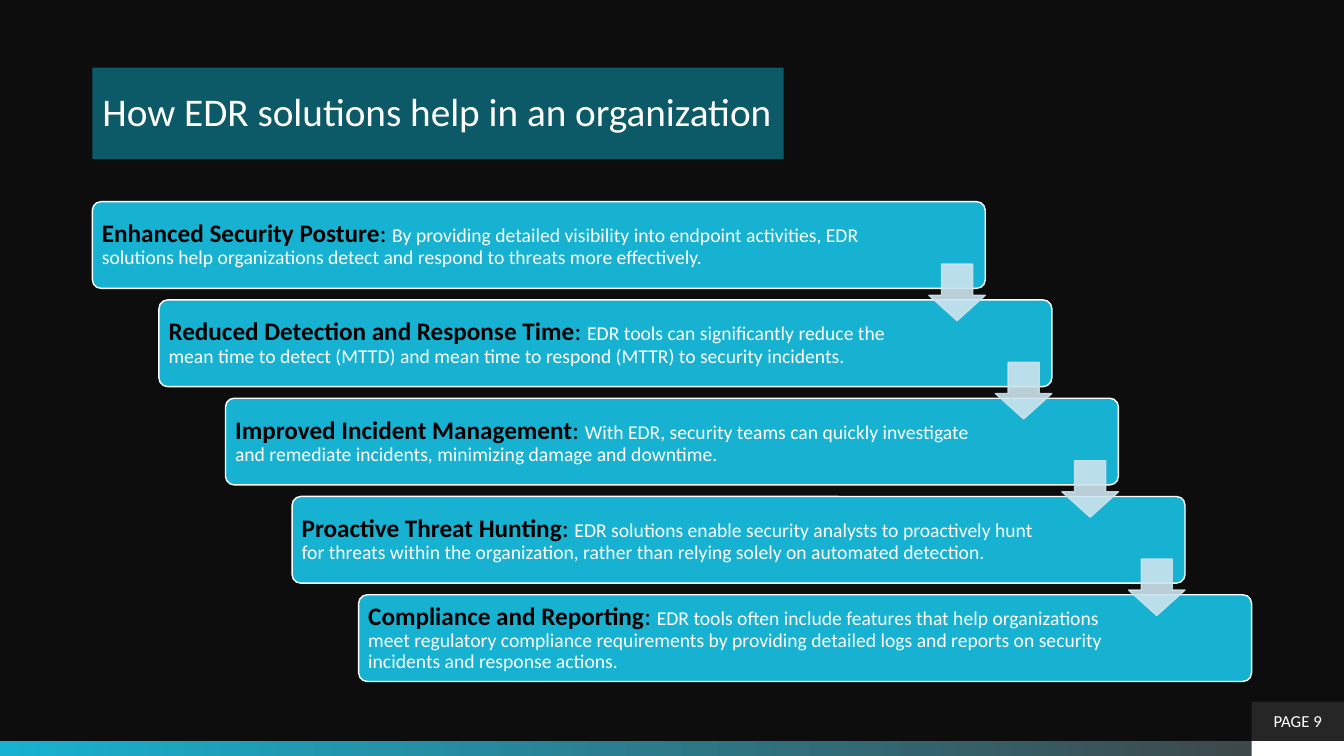
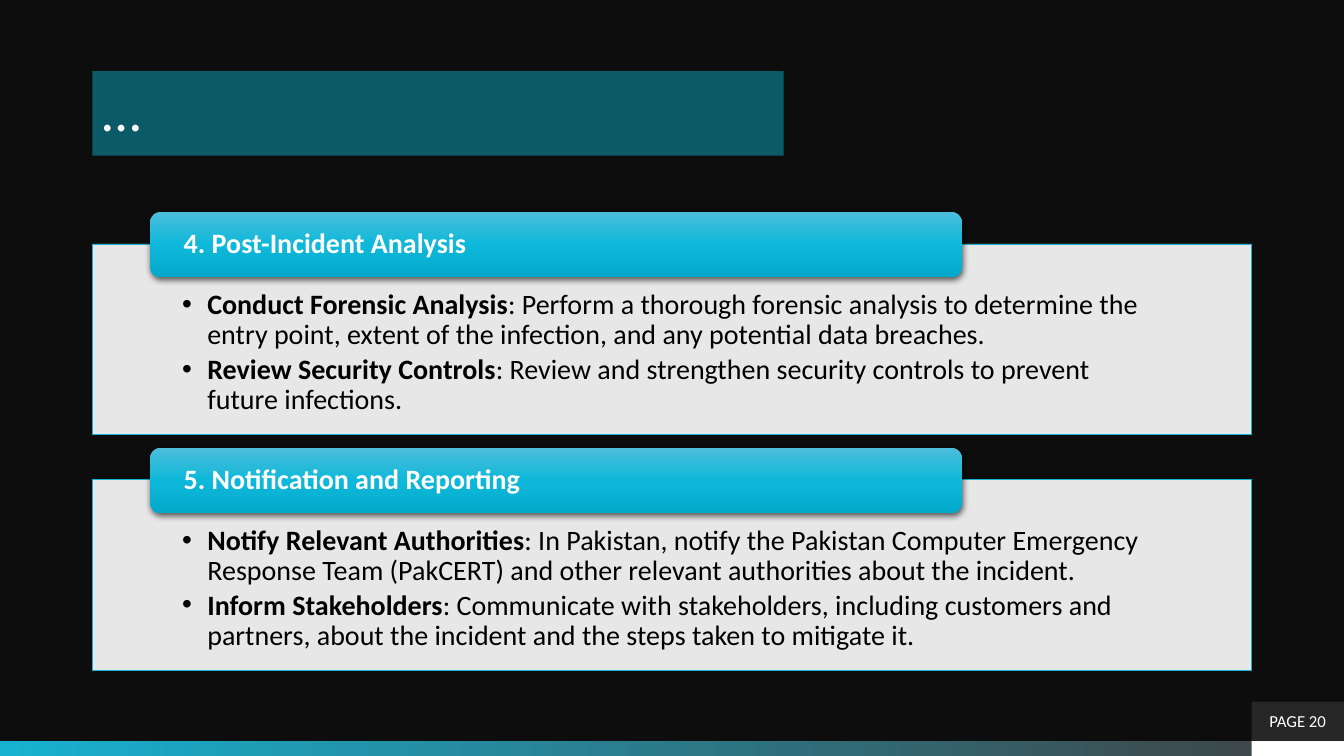
from lxml import etree
from pptx import Presentation
from pptx.dml.color import RGBColor
from pptx.enum.dml import MSO_FILL
from pptx.enum.shapes import MSO_SHAPE
from pptx.enum.text import MSO_ANCHOR, MSO_AUTO_SIZE, PP_ALIGN
from pptx.oxml.ns import qn
from pptx.util import Inches, Pt

RECTANGLE = MSO_SHAPE.RECTANGLE
ROUNDED = MSO_SHAPE.ROUNDED_RECTANGLE
DOWN_ARROW = MSO_SHAPE.DOWN_ARROW
SOLID = MSO_FILL.SOLID
MIDDLE, TOP = MSO_ANCHOR.MIDDLE, MSO_ANCHOR.TOP
LEFT, CENTER = PP_ALIGN.LEFT, PP_ALIGN.CENTER
NO_AUTOFIT = MSO_AUTO_SIZE.NONE

BLACK = RGBColor(0x00, 0x00, 0x00)
WHITE = RGBColor(0xFF, 0xFF, 0xFF)
NIGHT = RGBColor(0x0D, 0x0D, 0x0D)
CHARCOAL = RGBColor(0x26, 0x26, 0x26)
GRAY = RGBColor(0x40, 0x40, 0x40)
TEAL = RGBColor(0x0C, 0x59, 0x68)
CYAN = RGBColor(0x17, 0xB2, 0xD1)
ICE = RGBColor(0xCC, 0xE4, 0xEE)
HEADING_STOPS = [RGBColor(0x4D, 0xBD, 0xDB), RGBColor(0x0E, 0xB8, 0xDA),
                 RGBColor(0x04, 0xA9, 0xCA)]

FONT = "Calibri"
SLIDE_WIDTH, SLIDE_HEIGHT = Inches(13.333), Inches(7.5)
COLUMNS, ROWS = 160, 100
MARGIN = 11
CONTENT_WIDTH = COLUMNS - 2 * MARGIN
PAGE_LEFT = COLUMNS - MARGIN
BAND_TOP = 98
TITLE_WIDTH, TITLE_CENTER = 82.3, 15
STEP_WIDTH, STEP_HEIGHT = 106.3, 11.47
STEP_TOP, STEP_PITCH = 26.67, 13
ARROW_WIDTH, ARROW_HEIGHT, ARROW_DROP = 6.72, 7.47, 8.27
PANEL_TOP, PANEL_HEIGHT, PANEL_PITCH = 32.27, 25.2, 31.2
HEADING_RISE, HEADING_HEIGHT = 4.27, 8.67
HEADING_INDENT, HEADING_SHARE = 0.05, 0.7

STEPS = [
    ("Enhanced Security Posture",
     "By providing detailed visibility into endpoint activities, EDR solutions help "
     "organizations detect and respond to threats more effectively.", 1.05),
    ("Reduced Detection and Response Time",
     "EDR tools can significantly reduce the mean time to detect (MTTD) and mean time "
     "to respond (MTTR) to security incidents.", 1.3),
    ("Improved Incident Management",
     "With EDR, security teams can quickly investigate and remediate incidents, "
     "minimizing damage and downtime.", 1.3),
    ("Proactive Threat Hunting",
     "EDR solutions enable security analysts to proactively hunt for threats within the "
     "organization, rather than relying solely on automated detection.", 1.3),
    ("Compliance and Reporting",
     "EDR tools often include features that help organizations meet regulatory compliance "
     "requirements by providing detailed logs and reports on security incidents and "
     "response actions.", 1.3),
]

PHASES = [
    ("4. Post-Incident Analysis", [
        ("Conduct Forensic Analysis",
         ": Perform a thorough forensic analysis to determine the entry point, extent of "
         "the infection, and any potential data breaches."),
        ("Review Security Controls",
         ": Review and strengthen security controls to prevent future infections."),
    ]),
    ("5. Notification and Reporting", [
        ("Notify Relevant Authorities",
         ": In Pakistan, notify the Pakistan Computer Emergency Response Team (PakCERT) "
         "and other relevant authorities about the incident."),
        ("Inform Stakeholders",
         ": Communicate with stakeholders, including customers and partners, about the "
         "incident and the steps taken to mitigate it."),
    ]),
]


def grid_box(left, top, width, height):
    column, row = SLIDE_WIDTH / COLUMNS, SLIDE_HEIGHT / ROWS
    return (round(left * column), round(top * row),
            round(width * column), round(height * row))


def place(shape, box):
    shape.left, shape.top, shape.width, shape.height = grid_box(*box)


def set_fill(shape, color):
    shape.fill.solid()
    shape.fill.fore_color.rgb = color


def set_line(shape, color, width):
    shape.line.color.rgb = color
    shape.line.width = Pt(width)


def set_opacity(shape, percent):
    for color in shape.element.spPr.iter(qn("a:srgbClr")):
        etree.SubElement(color, qn("a:alpha"), val=str(percent * 1000))


def set_gradient(shape, colors, angle):
    shape.fill.gradient()
    shape.fill.gradient_angle = angle
    stops = shape.element.spPr.find(".//" + qn("a:gsLst"))
    for stop in list(stops):
        stops.remove(stop)
    for index, color in enumerate(colors):
        position = 100000 * index // (len(colors) - 1)
        stop = etree.SubElement(stops, qn("a:gs"), pos=str(position))
        etree.SubElement(stop, qn("a:srgbClr"), val=str(color))


def set_shadow(shape):
    effects = shape.element.spPr.find(qn("a:effectLst"))
    shadow = etree.SubElement(effects, qn("a:outerShdw"), blurRad=str(Pt(4.5)),
                              dist=str(Pt(1.5)), dir="5400000", algn="ctr",
                              rotWithShape="0")
    color = etree.SubElement(shadow, qn("a:srgbClr"), val=str(BLACK))
    etree.SubElement(color, qn("a:alpha"), val="63000")


def set_frame(shape, anchor, left=0.1, top=0.05, right=0.1, bottom=0.05):
    frame = shape.text_frame
    frame.word_wrap = True
    frame.auto_size = NO_AUTOFIT
    frame.vertical_anchor = anchor
    frame.margin_left, frame.margin_top = Inches(left), Inches(top)
    frame.margin_right, frame.margin_bottom = Inches(right), Inches(bottom)
    return frame


def add_run(paragraph, text, size, color, bold=False):
    run = paragraph.add_run()
    run.text = text
    run.font.name = FONT
    run.font.size = Pt(size)
    run.font.bold = bold
    run.font.color.rgb = color


def format_paragraph(paragraph, alignment=LEFT):
    paragraph.alignment = alignment
    paragraph.line_spacing = 0.9
    paragraph.space_before = Pt(0)
    return paragraph


def add_block(slide, kind, box, color=None):
    shape = slide.shapes.add_shape(kind, *grid_box(*box))
    shape.shadow.inherit = False
    shape.line.fill.background()
    if color is not None:
        set_fill(shape, color)
    return shape


def decorate_master(master, slide):
    fill = master.background.fill
    fill.solid()
    fill.fore_color.rgb = NIGHT
    height = ROWS - BAND_TOP
    band = add_block(slide, RECTANGLE, (0, BAND_TOP, COLUMNS, height))
    set_gradient(band, [CYAN, GRAY], 0)
    corner = add_block(slide, RECTANGLE, (PAGE_LEFT, BAND_TOP, MARGIN, height), WHITE)
    for number, shape in enumerate((band, corner), start=20):
        shape.element.nvSpPr.cNvPr.set("id", str(number))
        master.shapes.element.append(shape.element)


def add_title(slide, text, size, height):
    title = slide.shapes.title
    place(title, (MARGIN, TITLE_CENTER - height / 2, TITLE_WIDTH, height))
    set_fill(title, TEAL)
    frame = set_frame(title, MIDDLE, 0.1, 0.12, 0.1, 0.12)
    add_run(format_paragraph(frame.paragraphs[0]), text, size, WHITE)


def add_page_label(slide, number):
    label = add_block(slide, RECTANGLE, (PAGE_LEFT, 92.8, MARGIN, BAND_TOP - 92.8), CHARCOAL)
    paragraph = set_frame(label, MIDDLE).paragraphs[0]
    paragraph.alignment = CENTER
    add_run(paragraph, f"PAGE {number}", 12, WHITE)


def add_step(slide, left, top, heading, detail, right_margin):
    card = add_block(slide, ROUNDED, (left, top, STEP_WIDTH, STEP_HEIGHT), CYAN)
    card.adjustments[0] = 0.1
    set_line(card, WHITE, 1)
    frame = set_frame(card, MIDDLE, 0.07, 0.05, right_margin, 0.05)
    paragraph = format_paragraph(frame.paragraphs[0])
    add_run(paragraph, heading, 18, BLACK, True)
    add_run(paragraph, ": ", 18, BLACK)
    add_run(paragraph, detail, 14, WHITE)


def add_step_arrow(slide, left, top):
    arrow = add_block(slide, DOWN_ARROW,
                      (left + STEP_WIDTH - ARROW_WIDTH, top + ARROW_DROP,
                       ARROW_WIDTH, ARROW_HEIGHT), ICE)
    arrow.adjustments[0], arrow.adjustments[1] = 0.55, 0.45
    set_line(arrow, ICE, 1)
    set_opacity(arrow, 90)


def add_staircase(slide):
    shift = (CONTENT_WIDTH - STEP_WIDTH) / (len(STEPS) - 1)
    corners = [(MARGIN + index * shift, STEP_TOP + index * STEP_PITCH)
               for index in range(len(STEPS))]
    for corner, step in zip(corners, STEPS):
        add_step(slide, *corner, *step)
    for corner in corners[:-1]:
        add_step_arrow(slide, *corner)


def fill_panel(panel, top, points):
    place(panel, (MARGIN, top, CONTENT_WIDTH, PANEL_HEIGHT))
    set_fill(panel, WHITE)
    set_opacity(panel, 90)
    line = panel.line if hasattr(panel, "line") else None
    if line is not None:
        set_line(panel, CYAN, 0.5)
    frame = set_frame(panel, TOP, 0.89, 0.46, 0.89, 0.16)
    for index, (heading, detail) in enumerate(points):
        paragraph = frame.add_paragraph() if index else frame.paragraphs[0]
        format_paragraph(paragraph).space_after = Pt(3)
        properties = paragraph.font._element.getparent()
        properties.set("marL", str(Inches(0.25)))
        properties.set("indent", str(-Inches(0.25)))
        add_run(paragraph, heading, 20, BLACK, True)
        add_run(paragraph, detail, 20, BLACK)


def add_panel_heading(slide, top, text):
    heading = add_block(slide, ROUNDED,
                        (MARGIN + HEADING_INDENT * CONTENT_WIDTH, top - HEADING_RISE,
                         HEADING_SHARE * CONTENT_WIDTH, HEADING_HEIGHT))
    set_gradient(heading, HEADING_STOPS, 270)
    set_shadow(heading)
    frame = set_frame(heading, MIDDLE, 0.3, 0, 0.3, 0)
    add_run(format_paragraph(frame.paragraphs[0]), text, 20, WHITE, True)


def add_phases(slide):
    panels = list(slide.placeholders)[1:]
    for index, (panel, (heading, points)) in enumerate(zip(panels, PHASES)):
        top = PANEL_TOP + index * PANEL_PITCH
        fill_panel(panel, top, points)
        add_panel_heading(slide, top, heading)


def main():
    presentation = Presentation()
    presentation.slide_width, presentation.slide_height = SLIDE_WIDTH, SLIDE_HEIGHT
    layouts = presentation.slide_layouts

    benefits = presentation.slides.add_slide(layouts.get_by_name("Title Only"))
    decorate_master(presentation.slide_master, benefits)
    add_title(benefits, "How EDR solutions help in an organization", 28, 12.13)
    add_page_label(benefits, 9)
    add_staircase(benefits)

    response = presentation.slides.add_slide(layouts.get_by_name("Two Content"))
    add_title(response, "…", 40, 11.2)
    add_page_label(response, 20)
    add_phases(response)

    presentation.save("out.pptx")


if __name__ == "__main__":
    main()
